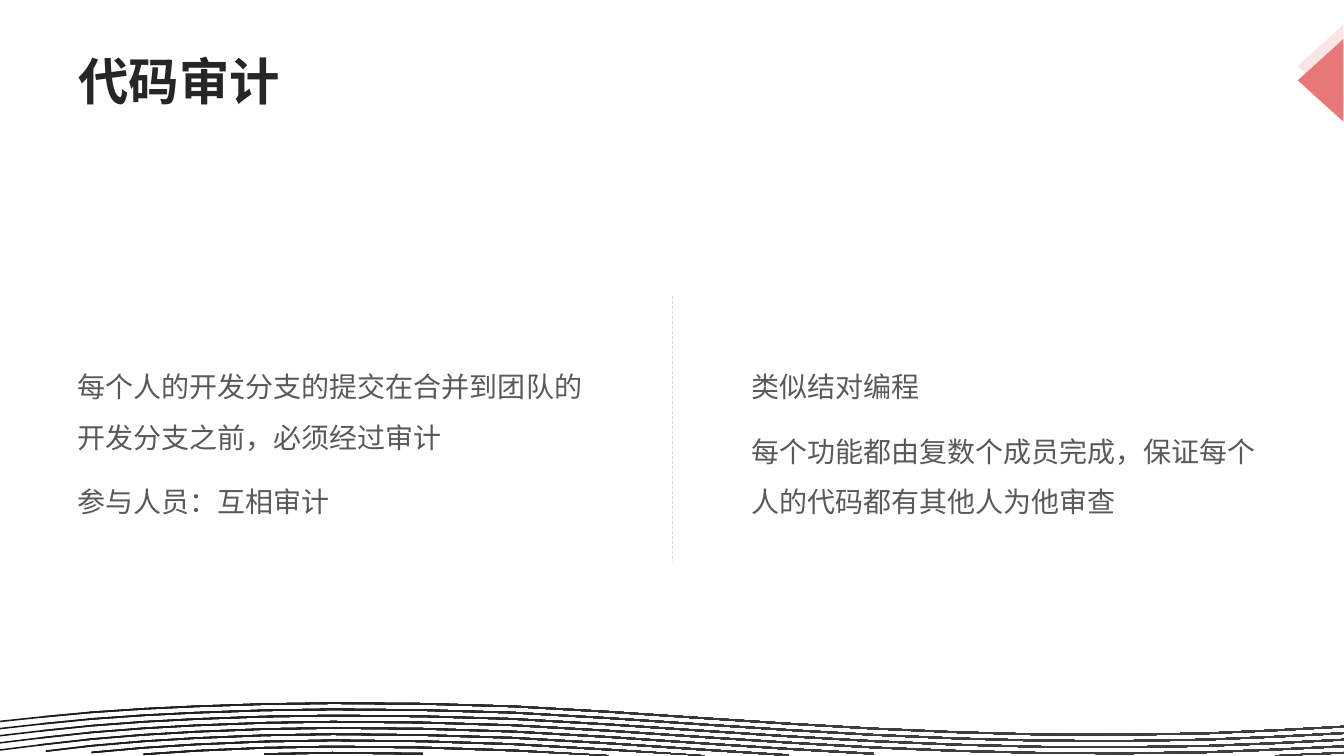
from itertools import groupby

from lxml.etree import SubElement
from pptx import Presentation
from pptx.dml.color import RGBColor as RGB
from pptx.enum.dml import MSO_LINE
from pptx.enum.shapes import MSO_CONNECTOR as CONNECTOR, MSO_SHAPE as SHAPE
from pptx.enum.text import MSO_ANCHOR as ANCHOR
from pptx.oxml.ns import qn
from pptx.util import Cm, Pt

# Content
TITLE = "代码审计"
COLUMNS = [
    ["每个人的开发分支的提交在合并到团队的开发分支之前，必须经过审计",
     "参与人员：互相审计"],
    ["类似结对编程",
     "每个功能都由复数个成员完成，保证每个人的代码都有其他人为他审查"],
]

# Waves in cm: x, height of the top stripe, distance from top to bottom stripe
WAVE_KNOTS = [
    (0, 18.16, 1.44), (2.31, 17.93, 1.35), (4.93, 17.78, 1.28),
    (8.38, 17.7, 1.25), (12.93, 17.78, 1.27), (17.75, 18.08, 1.27),
    (22.02, 18.34, 1.27), (26.24, 18.49, 1.24), (30.4, 18.46, 1.27),
    (33.87, 18.29, 1.32),
]
STRIPES = 9
STRIPE_THICKNESS = 0.04
STEPS = 2

THEME = {
    "font": "Noto Sans CJK SC",
    "title": (36, RGB.from_string("262626"), True),
    "body": (20, RGB.from_string("595959"), False),
    "divider": RGB.from_string("D9D9D9"),
    "corner": [RGB.from_string("FAE4E4"), RGB.from_string("E87878")],
    "waves": [(0, RGB.from_string("191919")), (0.67, RGB.from_string("404040"))],
}

WIDTH, HEIGHT = 33.87, 19.05
MARGIN = 1.7
COLUMN_WIDTH = 13.49

deck = Presentation()
deck.slide_width, deck.slide_height = Cm(WIDTH), Cm(HEIGHT)
slide = deck.slides.add_slide(deck.slide_layouts[6])
shapes = slide.shapes


def wave_samples():
    """Smooth curve through the knots, as (x, top, spread) triples."""
    slopes = []
    for i in range(len(WAVE_KNOTS)):
        before = WAVE_KNOTS[max(i - 1, 0)]
        after = WAVE_KNOTS[min(i + 1, len(WAVE_KNOTS) - 1)]
        slopes.append([(b - a) / (after[0] - before[0])
                       for a, b in zip(before, after)])
    samples = [WAVE_KNOTS[0]]
    for i, (start, end) in enumerate(zip(WAVE_KNOTS, WAVE_KNOTS[1:])):
        run = end[0] - start[0]
        for step in range(1, STEPS + 1):
            t = step / STEPS
            ease = t * t * (3 - 2 * t)
            lead, trail = t * (1 - t) ** 2 * run, t * t * (t - 1) * run
            _, top, spread = [
                a + (b - a) * ease + lead * m + trail * n
                for a, b, m, n in zip(start, end, slopes[i], slopes[i + 1])]
            samples.append((start[0] + run * t, top, spread))
    return samples


def stripe_outlines():
    """Closed outlines of the stripe parts that lie on the slide."""
    samples = wave_samples()
    for stripe in range(STRIPES):
        edge = [(x, top + spread * stripe / (STRIPES - 1))
                for x, top, spread in samples]
        for visible, part in groupby(edge, lambda point: point[1] < HEIGHT):
            upper = list(part)
            if visible and len(upper) > 1:
                lower = [(x, min(y + STRIPE_THICKNESS, HEIGHT))
                         for x, y in reversed(upper)]
                yield [(Cm(x), Cm(y)) for x, y in upper + lower]


def write(box, lines, style, line_spacing=None, gap=0):
    size, color, bold = THEME[style]
    frame = box.text_frame
    frame.word_wrap = True
    frame.vertical_anchor = ANCHOR.MIDDLE
    for i, line in enumerate(lines):
        paragraph = frame.add_paragraph() if i else frame.paragraphs[0]
        paragraph.text = line
        if line_spacing:
            paragraph.line_spacing = line_spacing
        if i:
            paragraph.space_before = Pt(gap)
        font = paragraph.font
        font.size, font.bold, font.name = Pt(size), bold, THEME["font"]
        font.color.rgb = color
        defaults = paragraph._p.pPr.find(qn("a:defRPr"))
        SubElement(defaults, qn("a:ea"), typeface=THEME["font"])
    return frame


# Waves along the bottom edge
first, *others = stripe_outlines()
builder = shapes.build_freeform(*first[0], scale=1.0)
builder.add_line_segments(first[1:])
for outline in others:
    builder.move_to(*outline[0])
    builder.add_line_segments(outline[1:])
waves = builder.convert_to_shape()
waves.shadow.inherit = False
waves.line.fill.background()
waves.fill.gradient()
waves.fill.gradient_angle = 350
for stop, (position, color) in zip(waves.fill.gradient_stops, THEME["waves"]):
    stop.position = position
    stop.color.rgb = color

# Triangles in the top right corner
for i, color in enumerate(THEME["corner"]):
    corner = shapes.add_shape(SHAPE.ISOSCELES_TRIANGLE, Cm(32.24),
                              Cm(1.09 + 0.36 * i), Cm(2.08), Cm(1.15))
    corner.rotation = 270
    corner.shadow.inherit = False
    corner.fill.solid()
    corner.fill.fore_color.rgb = color
    corner.line.fill.background()

# Divider between the columns
divider = shapes.add_connector(CONNECTOR.STRAIGHT, Cm(WIDTH / 2), Cm(7.45),
                               Cm(WIDTH / 2), Cm(14.15))
divider.line.color.rgb = THEME["divider"]
divider.line.width = Pt(0.5)
divider.line.dash_style = MSO_LINE.DASH
SubElement(divider._element.spPr, qn("a:effectLst"))

# Two text columns
for left, lines in zip((MARGIN, WIDTH - MARGIN - COLUMN_WIDTH), COLUMNS):
    column = shapes.add_textbox(Cm(left), Cm(5.38), Cm(COLUMN_WIDTH), Cm(11.2))
    write(column, lines, "body", line_spacing=1.5, gap=10)

# Title
heading = shapes.add_textbox(Cm(MARGIN), Cm(1.04), Cm(30.48), Cm(1.96))
heading_frame = write(heading, [TITLE], "title")
heading_frame.margin_left, heading_frame.margin_right = Cm(0.28), Cm(0.2)
heading_frame.margin_top = heading_frame.margin_bottom = Cm(0.1)

deck.save("out.pptx")
